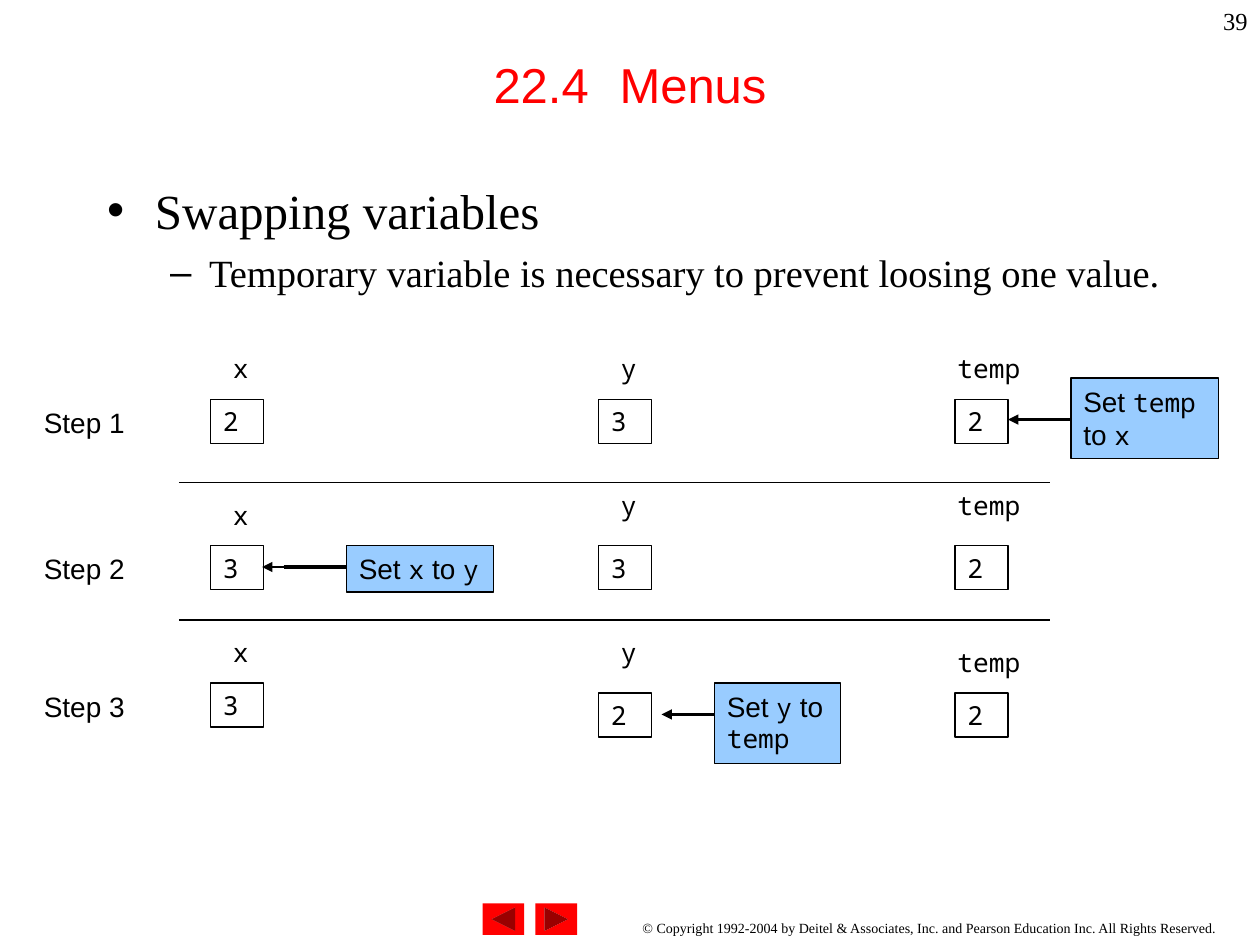
from dataclasses import dataclass

from lxml.etree import SubElement
from pptx import Presentation
from pptx.dml.color import RGBColor
from pptx.enum.shapes import MSO_CONNECTOR as Connector, MSO_SHAPE as Shape
from pptx.enum.text import MSO_ANCHOR as Anchor, MSO_AUTO_SIZE as AutoSize, PP_ALIGN as Align
from pptx.oxml.ns import qn
from pptx.util import Inches, Pt


@dataclass(frozen=True)
class Theme:
    ink: RGBColor = RGBColor(0, 0, 0)
    red: RGBColor = RGBColor(0xFF, 0, 0)
    callout: RGBColor = RGBColor(0x99, 0xCC, 0xFF)
    sans: str = "Arial"
    serif: str = "Times New Roman"
    mono: str = "Noto Sans Mono"
    heading: float = 28
    detail: float = 22
    step: float = 16
    code: float = 15
    number: float = 14
    copyright: float = 8
    thin: float = 0.75
    head: float = 1.5
    shaft: float = 2


@dataclass(frozen=True)
class Cell:
    value: str
    drop: float = 0  # box top below the step's top
    rise: float = 0.42  # label top above the box's top


THEME = Theme()

# name, box left, label left, label width
VARIABLES = [("x", 1.67, 1.75, 0.33), ("y", 4.75, 4.83, 0.33), ("temp", 7.58, 7.5, 0.75)]

# step top, cells for x, y and temp
STEPS = [
    (3.17, [Cell("2"), Cell("3"), Cell("2")]),
    (4.33, [Cell("3"), Cell("3", rise=0.5), Cell("2", rise=0.5)]),
    (5.42, [Cell("3"), Cell("2", 0.08, 0.5), Cell("2", 0.08)]),
]

# target, source, callout box, arrow tip, arrow joint, arrow height
CALLOUTS = [
    ("temp", "x", (8.5, 3, 1.17, 0.64), 8, 8.17, 3.33),
    ("x", "y", (2.75, 4.33, 1.17, 0.37), 2.08, 2.25, 4.5),
    ("y", "temp", (5.67, 5.42, 1, 0.64), 5.25, 5.33, 5.67),
]


def inches(*lengths):
    return [Inches(length) for length in lengths]


def style(font, face, size, color=THEME.ink):
    font.name, font.size = face, Pt(size)
    font.color.rgb = color


def place(holder, box):
    holder.left, holder.top, holder.width, holder.height = inches(*box)
    holder.text_frame.auto_size = AutoSize.NONE


def add_label(shapes, text, box, face, size, align=Align.LEFT):
    frame = shapes.add_textbox(*inches(*box)).text_frame
    frame.word_wrap = True
    line = frame.paragraphs[0]
    line.text, line.alignment = text, align
    style(line.font, face, size)


def add_box(shapes, box, fill=None):
    """Add an outlined rectangle and return its empty first paragraph."""
    rect = shapes.add_shape(Shape.RECTANGLE, *inches(*box))
    rect.shadow.inherit = False
    if fill is None:
        rect.fill.background()
    else:
        rect.fill.solid()
        rect.fill.fore_color.rgb = fill
    rect.line.color.rgb, rect.line.width = THEME.ink, Pt(THEME.thin)
    rect.text_frame.word_wrap = True
    rect.text_frame.vertical_anchor = Anchor.TOP
    line = rect.text_frame.paragraphs[0]
    line.alignment = Align.LEFT
    return line


def add_rule(shapes, start, end, y, weight, arrow=False):
    """Add a level line, with an arrowhead at its end if asked."""
    rule = shapes.add_connector(Connector.STRAIGHT, *inches(start, y, end, y))
    rule.line.color.rgb, rule.line.width = THEME.ink, Pt(weight)
    if arrow:
        SubElement(rule.line._get_or_add_ln(), qn("a:tailEnd"), type="triangle")
    SubElement(rule._element.spPr, qn("a:effectLst"))


def fill_title(title, box):
    place(title, box)
    title.text_frame.vertical_anchor = Anchor.MIDDLE
    line = title.text_frame.paragraphs[0]
    line.text, line.alignment = "22.4 \tMenus", Align.CENTER
    tabs = SubElement(line._p.get_or_add_pPr(), qn("a:tabLst"))
    for inch in range(8):
        SubElement(tabs, qn("a:tab"), pos=str(Inches(inch)), algn="l")
    style(line.font, THEME.sans, THEME.heading, THEME.red)


def fill_body(body, box):
    place(body, box)
    frame = body.text_frame
    frame.margin_top = Inches(0.1)
    bullets = [
        ("Swapping variables", "•", 0.38, -0.38, 0, THEME.heading),
        ("Temporary variable is necessary to prevent loosing one value.",
         "–", 0.81, -0.31, 5.5, THEME.detail),
    ]
    for level, (text, mark, margin, indent, before, size) in enumerate(bullets):
        line = frame.add_paragraph() if level else frame.paragraphs[0]
        line.text, line.level, line.space_before = text, level, Pt(before)
        props = line._p.get_or_add_pPr()
        props.set("marL", str(Inches(margin)))
        props.set("indent", str(Inches(indent)))
        SubElement(props, qn("a:buChar"), char=mark)
        style(line.font, THEME.serif, size)


def add_step(shapes, number, top, cells):
    add_label(shapes, f"Step {number}", (0.25, top, 0.92, 0.37), THEME.sans, THEME.step)
    for (name, box_left, label_left, label_width), cell in zip(VARIABLES, cells):
        box_top = top + cell.drop
        add_label(shapes, name, (label_left, box_top - cell.rise, label_width, 0.35),
                  THEME.mono, THEME.code)
        value = add_box(shapes, (box_left, box_top, 0.42, 0.35))
        value.text = cell.value
        style(value.font, THEME.mono, THEME.code)


def add_callout(shapes, target, source, box, tip, joint, y):
    group = shapes.add_group_shape().shapes
    line = add_box(group, box, THEME.callout)
    sans, mono = (THEME.sans, THEME.step), (THEME.mono, THEME.code)
    for text, look in [("Set ", sans), (target, mono), (" to ", sans), (source, mono)]:
        run = line.add_run()
        run.text = text
        style(run.font, *look)
    add_rule(group, joint, box[0], y, THEME.shaft)
    add_rule(group, joint, tip, y, THEME.head, arrow=True)


def add_footer(shapes, left, top):
    buttons = [Shape.ACTION_BUTTON_BACK_OR_PREVIOUS, Shape.ACTION_BUTTON_FORWARD_OR_NEXT]
    for i, kind in enumerate(buttons):
        button = shapes.add_shape(kind, *inches(left + i * 0.42, top, 0.33, 0.25))
        button.shadow.inherit = False
        button.fill.solid()
        button.fill.fore_color.rgb = THEME.red
        button.line.fill.background()
    add_label(shapes, "© Copyright 1992-2004 by Deitel & Associates, Inc. and Pearson "
              "Education Inc. All Rights Reserved.",
              (left + 1.17, top + 0.08, 4.83, 0.25), THEME.serif, THEME.copyright)


def main():
    deck = Presentation()
    deck.slide_width, deck.slide_height = inches(10, 7.5)
    slide = deck.slides.add_slide(deck.slide_layouts[1])
    shapes = slide.shapes
    fill_title(shapes.title, (0.75, 0.08, 8.5, 1.17))
    fill_body(slide.placeholders[1], (0.75, 1.33, 8.75, 5.75))
    for number, (top, cells) in enumerate(STEPS, 1):
        add_step(shapes, number, top, cells)
    for y in (3.83, 4.92):
        add_rule(shapes, 1.42, 8.33, y, THEME.thin)
    for callout in CALLOUTS:
        add_callout(shapes, *callout)
    add_footer(shapes, 3.83, 7.17)
    add_label(shapes, "39", (7.92, 0, 2.08, 0.5), THEME.serif, THEME.number, Align.RIGHT)
    deck.save("out.pptx")


if __name__ == "__main__":
    main()
